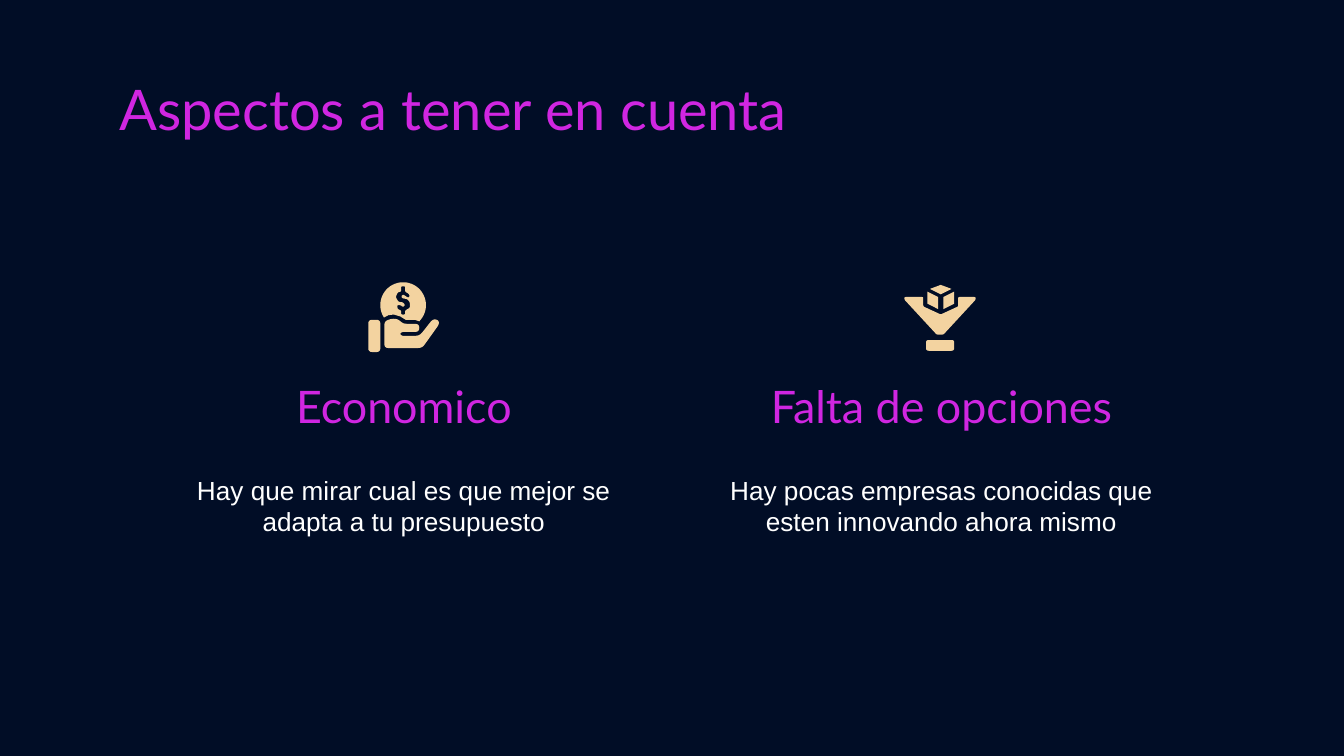
import math
from dataclasses import dataclass

from pptx import Presentation
from pptx.dml.color import RGBColor
from pptx.enum import text
from pptx.util import Inches, Pt


@dataclass(frozen=True)
class Theme:
    background: RGBColor = RGBColor(0x01, 0x0D, 0x26)
    accent: RGBColor = RGBColor(0xD0, 0x26, 0xE1)
    body: RGBColor = RGBColor(0xFF, 0xFF, 0xFF)
    icon: RGBColor = RGBColor(0xF3, 0xD3, 0xA0)
    heading_font: str = "Lato"
    body_font: str = "Arial"
    title_size: int = 30
    heading_size: int = 24
    body_size: int = 14


THEME = Theme()
COLUMN_WIDTH = 3.37
ICON_TOP = 2.1
ICON_UNIT = 0.01


def rounded(corners, radius):
    outline = []
    for index, (x, y) in enumerate(corners):
        ends = []
        for other_x, other_y in (corners[index - 1], corners[(index + 1) % len(corners)]):
            length = math.hypot(other_x - x, other_y - y)
            share = min(radius / length, 0.5)
            ends.append((x + (other_x - x) * share, y + (other_y - y) * share))
        (start_x, start_y), (end_x, end_y) = ends
        for step in range(5):
            t = step / 4
            a, b, c = (1 - t) ** 2, 2 * t * (1 - t), t ** 2
            outline.append((a * start_x + b * x + c * end_x,
                            a * start_y + b * y + c * end_y))
    return outline


def arc(center_x, center_y, radius, start, end):
    return [(center_x + radius * math.cos(math.radians(angle)),
             center_y + radius * math.sin(math.radians(angle)))
            for angle in range(start, end + 1, 6)]


def hand_with_coin():
    cuff = [(0, 28), (9, 28), (9, 52), (0, 52)]
    coin = arc(26, 17, 17, 147, 405) + [(35, 28), (28, 28), (24, 25.5), (19, 24), (15, 24.5)]
    dollar = [(24.5, 3), (27.5, 3), (27.5, 7), (30, 8.5), (31, 10), (30, 11.5),
              (28, 10.5), (26, 9), (24.5, 10.5), (25.5, 12), (29, 12.5), (31, 15),
              (31, 19), (27.5, 21), (27.5, 24), (24.5, 24), (24.5, 21), (22, 20),
              (21.5, 17), (24, 17), (26, 18.5), (27.5, 17), (26, 15), (22.5, 14.5),
              (20.5, 11), (22, 7.5), (24.5, 7)]
    hand = [(18, 27), (12, 29), (12, 49), (40, 49), (43, 45), (53, 31), (52, 28),
            (48, 27.5), (39, 39), (36, 40), (24, 40), (24, 37), (38, 37), (38, 31),
            (27, 31), (25, 30), (22, 27.5)]
    return [[rounded(cuff, 3)], [coin, rounded(dollar, 1)], [rounded(hand, 3)]]


def box_over_funnel():
    lid = [(27, 2), (19, 5), (27, 9), (35, 5)]
    left_side = [(17, 7), (17, 16), (25, 20), (25, 11)]
    right_side = [(54 - x, y) for x, y in left_side]
    base = [(16, 43), (37, 43), (37, 51), (16, 51)]
    funnel = [(0, 11), (14, 11), (14, 18), (27, 24), (40, 18), (40, 11),
              (53, 11), (53, 13), (29, 39), (24, 39), (0, 13)]
    return [[lid], [left_side], [right_side], [rounded(base, 2)], [rounded(funnel, 1)]]


def add_icon(slide, left, pieces):
    group = slide.shapes.add_group_shape()
    for contours in pieces:
        builder = None
        for contour in contours:
            points = [(Inches(left + x * ICON_UNIT), Inches(ICON_TOP + y * ICON_UNIT))
                      for x, y in contour]
            if builder is None:
                builder = group.shapes.build_freeform(*points[0])
            else:
                builder.move_to(*points[0])
            builder.add_line_segments(points[1:], close=True)
        shape = builder.convert_to_shape()
        shape.shadow.inherit = False
        shape.fill.solid()
        shape.fill.fore_color.rgb = THEME.icon
        shape.line.fill.background()


def add_text(slide, box, content, font_name, size, color, alignment):
    text_frame = slide.shapes.add_textbox(*map(Inches, box)).text_frame
    text_frame.word_wrap = True
    text_frame.vertical_anchor = text.MSO_ANCHOR.MIDDLE
    text_frame.margin_left = text_frame.margin_right = Inches(0.1)
    text_frame.margin_top = text_frame.margin_bottom = Inches(0.1)
    text_frame.text = content
    paragraph = text_frame.paragraphs[0]
    paragraph.alignment = alignment
    font = paragraph.runs[0].font
    font.name = font_name
    font.size = Pt(size)
    font.color.rgb = color


def add_aspect(slide, left, heading, description, icon_left, icon):
    add_text(slide, (left, 2.67, COLUMN_WIDTH, 0.69), heading, THEME.heading_font,
             THEME.heading_size, THEME.accent, text.PP_ALIGN.CENTER)
    add_text(slide, (left, 3.37, COLUMN_WIDTH, 0.78), description, THEME.body_font,
             THEME.body_size, THEME.body, text.PP_ALIGN.CENTER)
    add_icon(slide, icon_left, icon)


def main():
    presentation = Presentation()
    presentation.slide_width = Inches(10)
    presentation.slide_height = presentation.slide_width * 9 // 16
    slide = presentation.slides.add_slide(presentation.slide_layouts[6])
    slide.background.fill.solid()
    slide.background.fill.fore_color.rgb = THEME.background

    add_text(slide, (0.79, 0.49, 8.43, 0.63), "Aspectos a tener en cuenta",
             THEME.heading_font, THEME.title_size, THEME.accent, text.PP_ALIGN.LEFT)
    add_aspect(slide, 1.32, "Economico",
               "Hay que mirar cual es que mejor se adapta a tu presupuesto",
               2.74, hand_with_coin())
    add_aspect(slide, 5.32, "Falta de opciones",
               "Hay pocas empresas conocidas que esten innovando ahora mismo",
               6.73, box_over_funnel())
    presentation.save("out.pptx")


if __name__ == "__main__":
    main()
